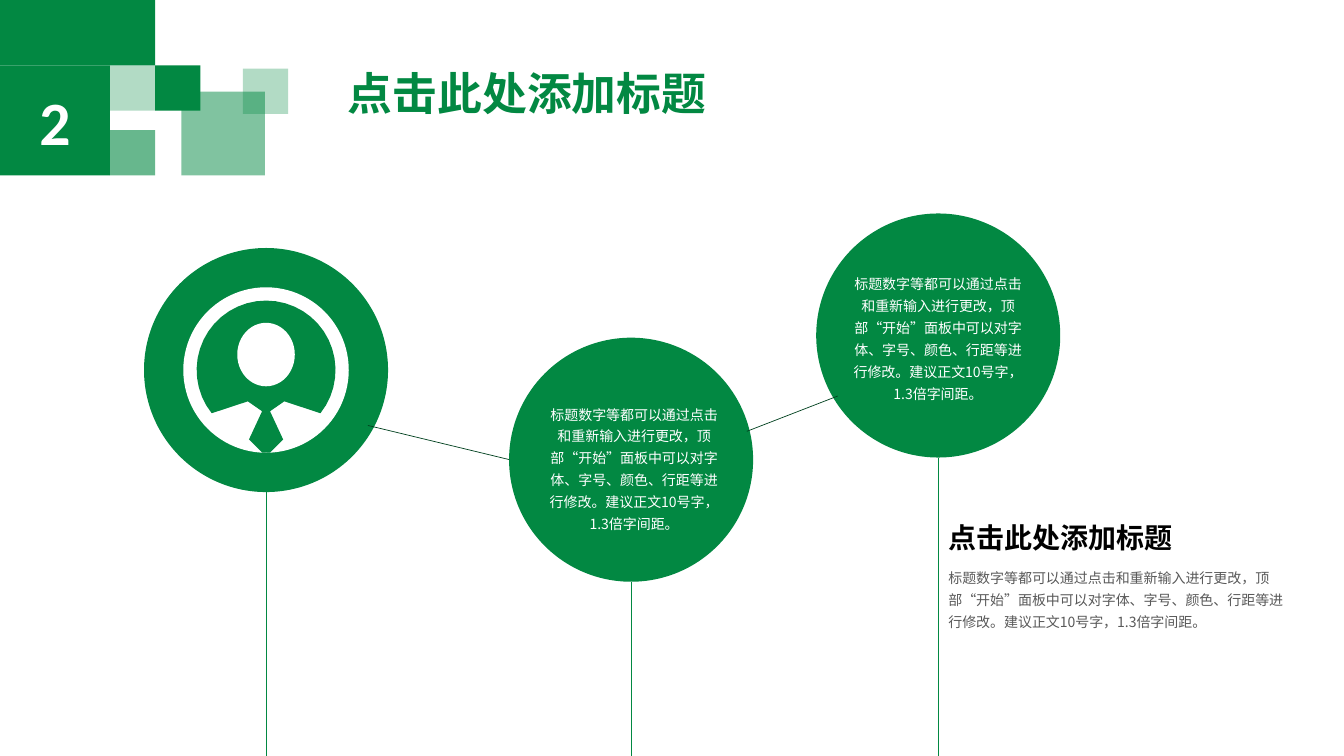
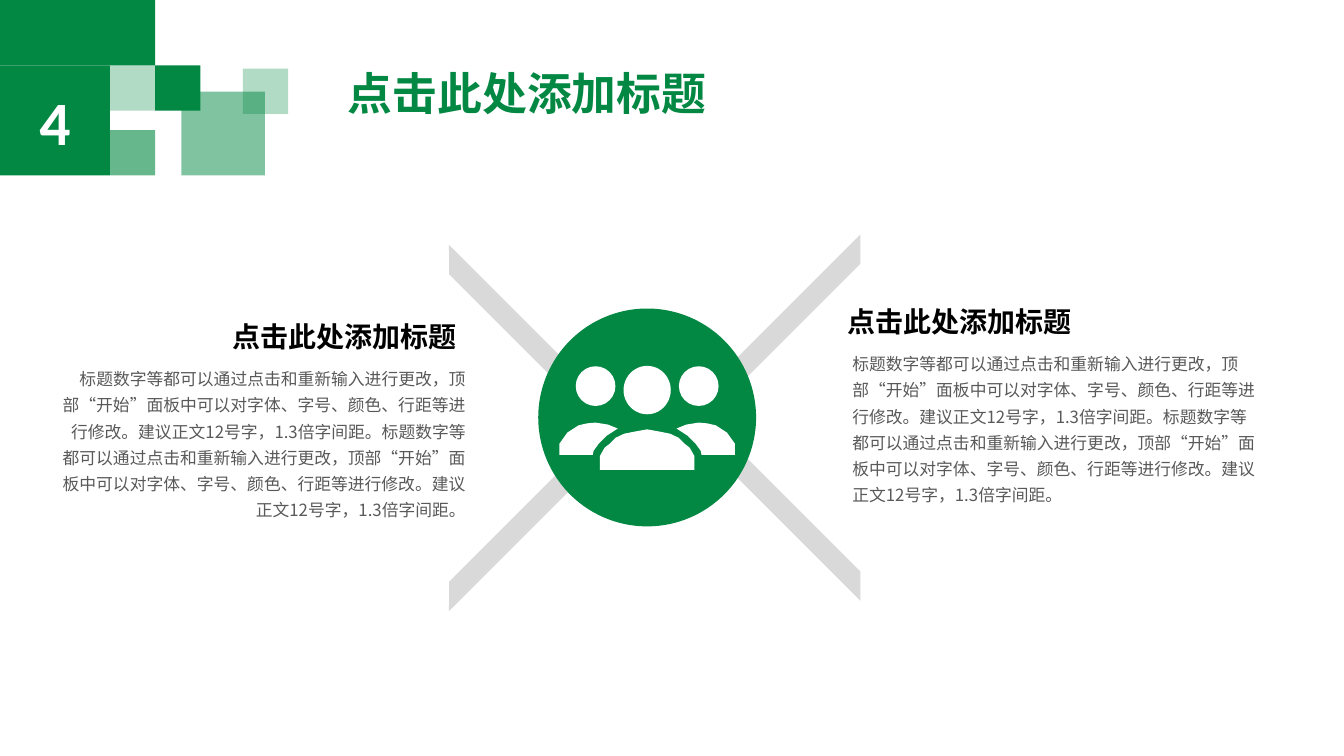
import math

from lxml import etree
from pptx import Presentation
from pptx import util as u
from pptx.dml.color import RGBColor
from pptx.enum import shapes, text
from pptx.oxml.ns import qn

GREEN = RGBColor(0x02, 0x88, 0x42)
DARK_GREEN = RGBColor(0x01, 0x41, 0x1F)
PALE_GRAY = RGBColor(0xD9, 0xD9, 0xD9)
TEXT_GRAY = RGBColor(0x59, 0x59, 0x59)
WHITE = RGBColor(0xFF, 0xFF, 0xFF)
BLACK = RGBColor(0, 0, 0)

CJK_FONT = "Noto Sans CJK SC"
LATIN_FONT = "Calibri"
SLIDE_WIDTH, SLIDE_HEIGHT = 33.87, 19.05
TITLE_BOX = (8.51, 1.65, 9.63, 1.52)
NUMBER_BOX = (0, 1.65, 2.77, 2.77)
TILE = 1.14
HEADER_TILES = [
    (0, 0, 3.91, 1.65, 100),
    (2.77, 1.65, TILE, TILE, 30),
    (3.91, 1.65, TILE, TILE, 100),
    (2.77, 3.28, TILE, TILE, 60),
    (4.57, 2.31, 2.11, 2.11, 50),
    (6.12, 1.73, TILE, TILE, 30),
]
HEADING = "点击此处添加标题"
ADVICE = (
    "标题数字等都可以通过点击和重新输入进行更改，顶部“开始”面板中可以对字体、"
    "字号、颜色、行距等进行修改。建议正文{}号字，1.3倍字间距。"
)
ADVICE_10, ADVICE_12 = ADVICE.format(10), ADVICE.format(12)

OVAL = shapes.MSO_SHAPE.OVAL
RECTANGLE = shapes.MSO_SHAPE.RECTANGLE
LEFT, CENTER, RIGHT = text.PP_ALIGN.LEFT, text.PP_ALIGN.CENTER, text.PP_ALIGN.RIGHT
TOP, MIDDLE = text.MSO_ANCHOR.TOP, text.MSO_ANCHOR.MIDDLE


def cm(*lengths):
    """Convert lengths in centimetres."""
    return [u.Cm(length) for length in lengths]


def write(shape, words, size, color, bold=False, align=LEFT, spacing=1.0,
          font=CJK_FONT, anchor=TOP):
    """Put one formatted paragraph into a shape."""
    frame = shape.text_frame
    frame.word_wrap = True
    frame.auto_size = text.MSO_AUTO_SIZE.NONE
    frame.vertical_anchor = anchor
    paragraph = frame.paragraphs[0]
    paragraph.alignment = align
    paragraph.line_spacing = spacing
    run = paragraph.add_run()
    run.text = words
    run.font.name = font
    run.font.size = u.Pt(size)
    run.font.bold = bold
    run.font.color.rgb = color
    for latin in list(shape.element.iter(qn("a:latin"))):
        latin.addnext(etree.Element(qn("a:ea"), typeface=font))
        latin.getparent().set("lang", "zh-CN")


def write_box(slide, box, words, size, color, **style):
    """Add a text box holding one formatted paragraph."""
    write(slide.shapes.add_textbox(*cm(*box)), words, size, color, **style)


def paint(shape, color, opacity=100):
    """Give a shape a plain fill without outline or shadow."""
    shape.shadow.inherit = False
    shape.line.fill.background()
    shape.fill.solid()
    shape.fill.fore_color.rgb = color
    if opacity < 100:
        srgb = next(shape.element.spPr.iter(qn("a:srgbClr")))
        etree.SubElement(srgb, qn("a:alpha"), val=str(opacity * 1000))
    return shape


def add_filled(slide, kind, box, color, opacity=100):
    """Add a filled preset shape."""
    return paint(slide.shapes.add_shape(kind, *cm(*box)), color, opacity)


def add_disc(slide, center_x, center_y, width, height, color):
    """Add an ellipse around a centre."""
    box = (center_x - width / 2, center_y - height / 2, width, height)
    return add_filled(slide, OVAL, box, color)


def add_outline(slide, center_x, center_y, points, color):
    """Add a closed outline whose points are offsets from a centre."""
    start, *rest = [cm(center_x + x, center_y + y) for x, y in points]
    builder = slide.shapes.build_freeform(*start)
    builder.add_line_segments(rest, close=True)
    paint(builder.convert_to_shape(), color)


def add_line(slide, start, end, color):
    """Add a thin straight line."""
    line = slide.shapes.add_connector(
        shapes.MSO_CONNECTOR.STRAIGHT, *cm(*start, *end))
    line.line.color.rgb = color
    line.line.width = u.Pt(0.5)
    etree.SubElement(line.element.spPr, qn("a:effectLst"))


def mirror(points):
    """Flip offsets across the vertical axis."""
    return [(-x, y) for x, y in points]


def dress_layout(layout, slide):
    """Place the title and the header tiles on the layout."""
    title = layout.placeholders[0]
    title.left, title.top, title.width, title.height = cm(*TITLE_BOX)
    for index, (*box, opacity) in enumerate(HEADER_TILES):
        tile = add_filled(slide, RECTANGLE, box, GREEN, opacity)
        tile.element.nvSpPr.cNvPr.id = 101 + index
        layout.shapes.element.insert(2 + index, tile.element)


def add_header(slide, number):
    """Write the slide title and the section number."""
    write(slide.shapes.title, HEADING, 32, GREEN, bold=True, spacing=0.9,
          anchor=MIDDLE)
    badge = add_filled(slide, RECTANGLE, NUMBER_BOX, GREEN)
    write(badge, number, 44, WHITE, bold=True, align=CENTER, font=LATIN_FONT,
          anchor=MIDDLE)


def add_caption(slide, box, heading_left, words, size, align=LEFT):
    """Add a heading above a paragraph, whose box is given."""
    left, top, width, height = box
    write_box(slide, (heading_left, top - 1.1, 6.2, 1.12), HEADING, 20, BLACK,
              bold=True, align=align)
    write_box(slide, box, words, size, TEXT_GRAY, align=align, spacing=1.3)


def add_manager_icon(slide, x, y):
    """Draw a figure with a tie inside a ring."""
    add_disc(slide, x, y, 4.17, 4.17, WHITE)
    radius, begin, steps = 1.75, 141.5, 32
    sweep = 2 * (270 - begin)
    angles = [math.radians(begin + sweep * i / steps) for i in range(steps + 1)]
    arc = [(radius * math.cos(a), radius * math.sin(a)) for a in angles]
    tie = [(0.46, 0.79), (0.1, 1.04), (0.43, 1.75), (0.1, 2.08)]
    add_outline(slide, x, y, arc + tie + mirror(tie)[::-1], GREEN)
    add_disc(slide, x, y - 0.39, 1.45, 1.6, WHITE)


def add_team_icon(slide, x, y):
    """Draw three figures side by side."""
    front = [(0, 0.3), (0.33, 0.36), (0.58, 0.41), (0.79, 0.51), (0.94, 0.66),
             (1.07, 0.76), (1.19, 0.97), (1.19, 1.32)]
    side = [(1.3, 0.13), (0.99, 0.18), (0.74, 0.28), (1.02, 0.46),
            (1.22, 0.66), (1.35, 0.84), (1.37, 0.94), (2.21, 0.94),
            (2.21, 0.66), (2.01, 0.38), (1.73, 0.2), (1.52, 0.15)]
    add_disc(slide, x, y - 0.69, 1.19, 1.22, WHITE)
    for shift in (-1.3, 1.3):
        add_disc(slide, x + shift, y - 0.79, 1, 1, WHITE)
    for body in (front + mirror(front)[:0:-1], side, mirror(side)):
        add_outline(slide, x, y, body, WHITE)


def add_hanging_circle(slide, left, top, size):
    """Add a circle with a line down to the slide's bottom edge."""
    x = left + size / 2
    add_line(slide, (x, top + size), (x, SLIDE_HEIGHT), GREEN)
    add_filled(slide, OVAL, (left, top, size, size), GREEN)


def build_circles_slide(slide):
    """Fill the slide of three linked circles."""
    add_header(slide, "2")
    size = 6.15
    manager, middle, last = (3.63, 6.25), (12.83, 8.51), (20.57, 5.38)
    for left, top in (manager, middle, last):
        add_hanging_circle(slide, left, top, size)
    add_manager_icon(slide, manager[0] + size / 2, manager[1] + size / 2)
    for (left, top), (dx, dy) in ((middle, (0.66, 1.47)), (last, (0.58, 1.32))):
        write_box(slide, (left + dx, top + dy, 4.98, 3.58), ADVICE_10, 10,
                  WHITE, align=CENTER, spacing=1.3)
    add_caption(slide, (23.65, 14.1, 9.02, 1.93), 23.65, ADVICE_10, 10)
    add_line(slide, (9.27, 10.72), (12.83, 11.58), DARK_GREEN)
    add_line(slide, (18.82, 10.87), (21.11, 9.98), DARK_GREEN)


def build_team_slide(slide):
    """Fill the slide of a team between two captions."""
    add_header(slide, "4")
    for left, top, turn in ((18.42, 7.26, 315), (8.05, 7.52, 135)):
        bracket = add_filled(slide, shapes.MSO_SHAPE.HALF_FRAME,
                             (left, top, 6.53, 6.53), PALE_GRAY)
        bracket.adjustments[0] = bracket.adjustments[1] = 0.08
        bracket.rotation = turn
    x, y = 16.31, 10.52
    add_disc(slide, x, y, 5.49, 5.49, GREEN)
    add_team_icon(slide, x, y)
    advice = ADVICE_12 * 2
    add_caption(slide, (21.23, 8.64, 10.8, 4.27), 21.11, advice, 12)
    add_caption(slide, (1.19, 9.02, 10.8, 4.27), 5.56, advice, 12, align=RIGHT)


def main():
    """Build and save the presentation."""
    deck = Presentation()
    deck.slide_width, deck.slide_height = cm(SLIDE_WIDTH, SLIDE_HEIGHT)
    layout = deck.slide_layouts[5]
    circles, team = [deck.slides.add_slide(layout) for _ in range(2)]
    dress_layout(layout, circles)
    build_circles_slide(circles)
    build_team_slide(team)
    deck.save("out.pptx")


if __name__ == "__main__":
    main()
